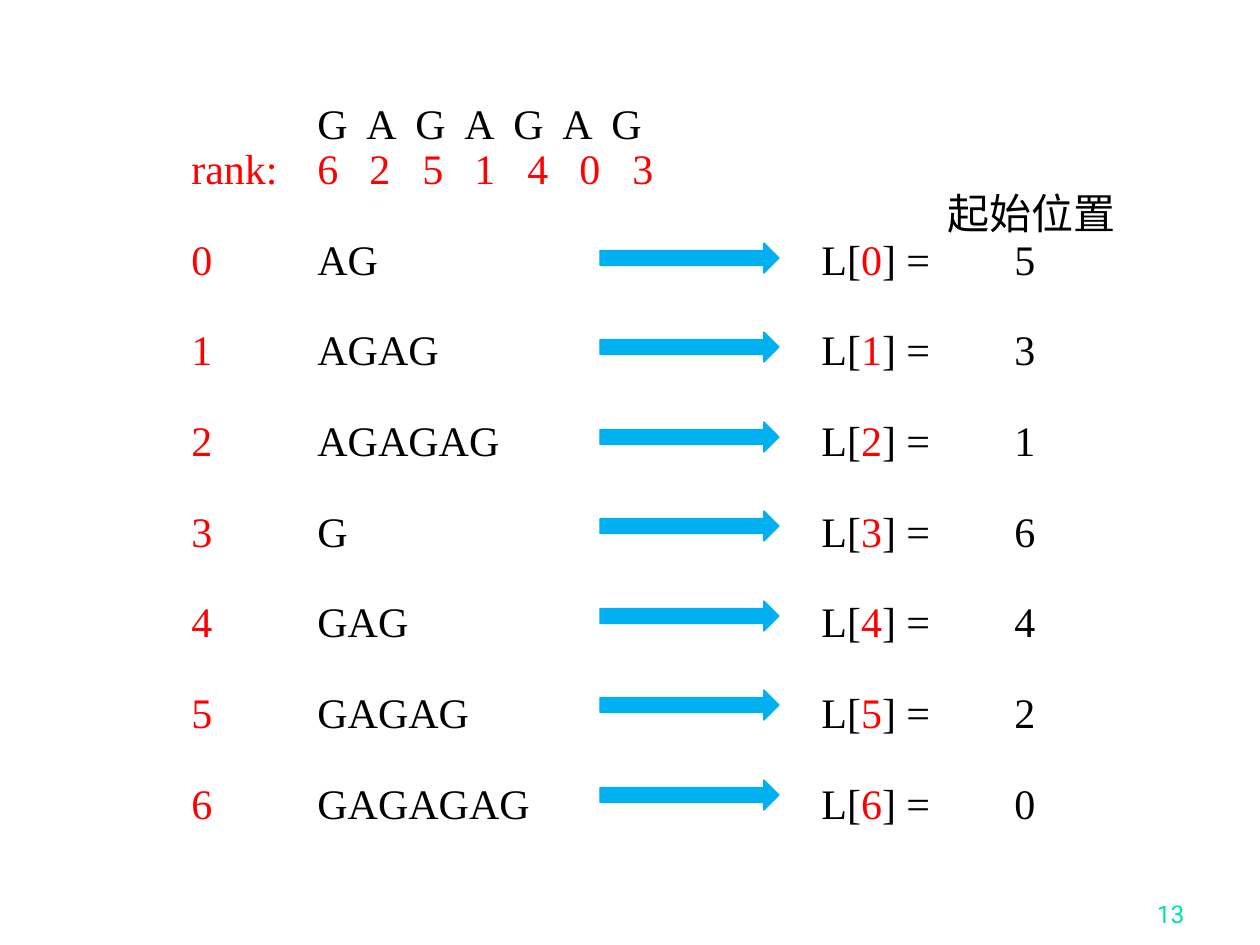
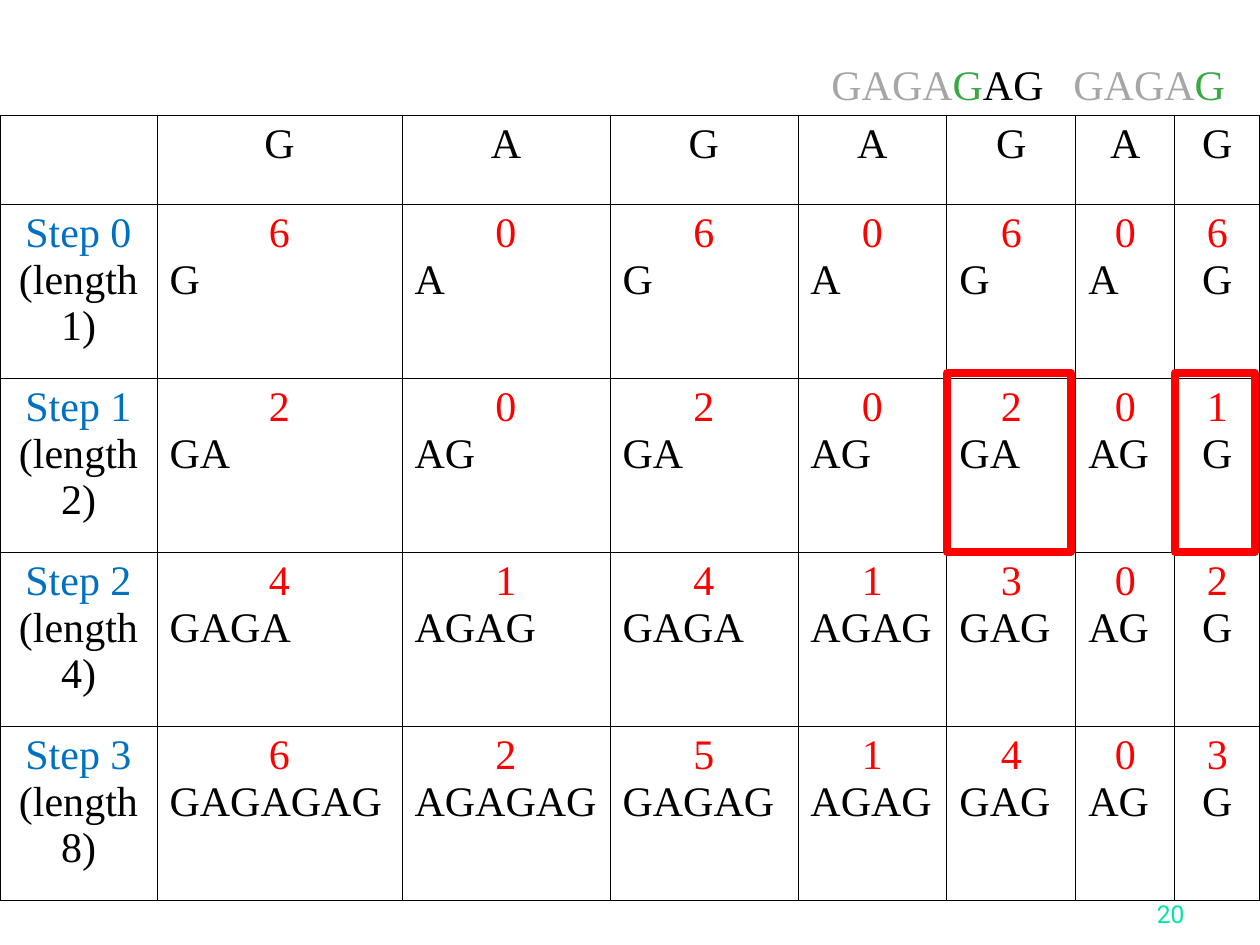
from dataclasses import dataclass

from lxml import etree
from pptx import Presentation
from pptx.dml.color import RGBColor
from pptx.enum.shapes import MSO_SHAPE
from pptx.enum.text import MSO_ANCHOR, PP_ALIGN
from pptx.oxml.ns import qn
from pptx.util import Emu, Pt

ARROW, RECTANGLE = MSO_SHAPE.RIGHT_ARROW, MSO_SHAPE.RECTANGLE
LEFT, CENTER, RIGHT = PP_ALIGN.LEFT, PP_ALIGN.CENTER, PP_ALIGN.RIGHT
BOTTOM = MSO_ANCHOR.BOTTOM
EMU_PER_PX = 914400 / 126
BLANK_LAYOUT = 6


@dataclass(frozen=True)
class Theme:
    ink: str = "000000"
    paper: str = "FFFFFF"
    rank: str = "FF0000"
    step: str = "0070C0"
    arrow: str = "00B0F0"
    faded: str = "A6A6A6"
    match: str = "3BA943"
    number: str = "00E4A8"
    body_font: str = "Times New Roman"
    number_font: str = "Roboto"
    body_size: float = 24
    number_size: float = 14
    line_pitch: float = 25.9
    arrow_line: float = 0.75
    marker_line: float = 4.5
    grid_line: float = 0.45


THEME = Theme()
SEQUENCE = "GAGAGAG"
STEP_RANKS = [
    [6, 0, 6, 0, 6, 0, 6],
    [2, 0, 2, 0, 2, 0, 1],
    [4, 1, 4, 1, 3, 0, 2],
    [6, 2, 5, 1, 4, 0, 3],
]
COLUMN_WIDTHS = [157, 245, 208, 188, 149, 129, 99, 85]
HEADER_HEIGHT, STEP_HEIGHT = 89, 174


def px(length):
    return Emu(round(length * EMU_PER_PX))


def place(box):
    return [px(length) for length in box]


def style(span, color, font=THEME.body_font, size=THEME.body_size):
    span.font.name = font
    span.font.size = Pt(size)
    span.font.color.rgb = RGBColor.from_string(color)


def add_spans(para, spans):
    for text, color in spans:
        span = para.add_run()
        span.text = text
        style(span, color)


def set_tabs(para, stops):
    tab_list = etree.SubElement(para._p.get_or_add_pPr(), qn("a:tabLst"))
    for stop in stops:
        etree.SubElement(tab_list, qn("a:tab"), pos=str(px(stop)), algn="l")


def add_lines(page, box, lines):
    frame = page.shapes.add_textbox(*place(box)).text_frame
    frame.word_wrap = True
    for index, (spans, stops, gap) in enumerate(lines):
        para = frame.add_paragraph() if index else frame.paragraphs[0]
        para.line_spacing = Pt(THEME.line_pitch)
        if gap:
            para.space_before = Pt(gap)
        set_tabs(para, stops)
        add_spans(para, spans)


def add_outline(page, kind, box, color, width, filled):
    shape = page.shapes.add_shape(kind, *place(box))
    shape.shadow.inherit = False
    if filled:
        shape.fill.solid()
        shape.fill.fore_color.rgb = RGBColor.from_string(color)
    else:
        shape.fill.background()
    shape.line.color.rgb = RGBColor.from_string(color)
    shape.line.width = Pt(width)


def add_page_number(page, box, number):
    frame = page.shapes.add_textbox(*place(box)).text_frame
    frame.word_wrap = True
    frame.vertical_anchor = BOTTOM
    frame.text = str(number)
    para = frame.paragraphs[0]
    para.alignment = RIGHT
    style(para.runs[0], THEME.number, THEME.number_font, THEME.number_size)


def add_page(deck, number):
    page = deck.slides.add_slide(deck.slide_layouts[BLANK_LAYOUT])
    add_page_number(page, (935, 872, 262, 63), number)
    return page


def add_suffix_list(page, box):
    final_ranks = "\t".join(map(str, STEP_RANKS[-1]))
    letter_stops = [252 + 49 * i for i in range(len(SEQUENCE))]
    rank_stops = [126] + [252 + 105 * i // 2 for i in range(len(SEQUENCE))]
    lines = [
        ([("\t" + "\t".join(SEQUENCE), THEME.ink)], letter_stops, 0),
        ([("\trank:\t" + final_ranks, THEME.rank)], rank_stops, 0),
        ([("\t起始位置", THEME.ink)], [882], 0),
    ]
    starts = sorted(range(len(SEQUENCE)), key=lambda i: SEQUENCE[i:])
    for rank, start in enumerate(starts):
        spans = [
            (f"\t{rank}\t", THEME.rank),
            (f"{SEQUENCE[start:]}\tL[", THEME.ink),
            (str(rank), THEME.rank),
            (f"] =\t{start}", THEME.ink),
        ]
        lines.append((spans, [126, 252, 756, 949], THEME.line_pitch if rank else 0))
    add_lines(page, box, lines)


def add_arrows(page, box):
    left, top, width, height = box
    arrow_height = 30
    travel = height - arrow_height
    for index in range(len(SEQUENCE)):
        arrow_top = top + travel * index // (len(SEQUENCE) - 1)
        add_outline(page, ARROW, (left, arrow_top, width, arrow_height),
                    THEME.arrow, THEME.arrow_line, True)


def add_compared_suffixes(page, box):
    spans = [
        ("\tGAGA", THEME.faded),
        ("G", THEME.match),
        ("AG\t", THEME.ink),
        ("GAGA", THEME.faded),
        ("G", THEME.match),
    ]
    add_lines(page, box, [(spans, [766, 1008], 0)])


def draw_cell(cell, lines):
    properties = cell._tc.get_or_add_tcPr()
    for side in ("a:lnL", "a:lnR", "a:lnT", "a:lnB"):
        border = etree.SubElement(properties, qn(side), w=str(Pt(THEME.grid_line)))
        paint = etree.SubElement(border, qn("a:solidFill"))
        etree.SubElement(paint, qn("a:srgbClr"), val=THEME.ink)
    cell.fill.solid()
    cell.fill.fore_color.rgb = RGBColor.from_string(THEME.paper)
    cell.text_frame.text = "\n".join(text for text, _, _ in lines)
    for para, (_, color, alignment) in zip(cell.text_frame.paragraphs, lines):
        para.alignment = alignment
        for span in para.runs:
            style(span, color)


def add_step_table(page, box):
    table = page.shapes.add_table(
        len(STEP_RANKS) + 1, len(COLUMN_WIDTHS), *place(box)).table
    for column, width in zip(table.columns, COLUMN_WIDTHS):
        column.width = px(width)
    for index, row in enumerate(table.rows):
        row.height = px(STEP_HEIGHT if index else HEADER_HEIGHT)
    draw_cell(table.cell(0, 0), [])
    for index, letter in enumerate(SEQUENCE):
        draw_cell(table.cell(0, index + 1), [(letter, THEME.ink, CENTER)])
    for step, ranks in enumerate(STEP_RANKS):
        length = 2 ** step
        draw_cell(table.cell(step + 1, 0), [
            (f"Step {step}", THEME.step, CENTER),
            (f"(length {length})", THEME.ink, CENTER),
        ])
        for start, rank in enumerate(ranks):
            alignment = CENTER if start == len(SEQUENCE) - 1 else LEFT
            draw_cell(table.cell(step + 1, start + 1), [
                (str(rank), THEME.rank, CENTER),
                (SEQUENCE[start:start + length], THEME.ink, alignment),
            ])


def add_cell_markers(page, table_box, step, columns):
    left, top = table_box[:2]
    marker_top = top + HEADER_HEIGHT + STEP_HEIGHT * step - 5
    for column in columns:
        marker_left = left + sum(COLUMN_WIDTHS[:column])
        marker_box = (marker_left, marker_top, COLUMN_WIDTHS[column] - 5, STEP_HEIGHT + 5)
        add_outline(page, RECTANGLE, marker_box, THEME.rank, THEME.marker_line, False)


def build_suffix_page(deck):
    page = add_page(deck, 13)
    add_suffix_list(page, (53, 96, 1113, 773))
    add_arrows(page, (600, 243, 179, 567))


def build_step_page(deck):
    page = add_page(deck, 20)
    add_compared_suffixes(page, (53, 57, 1207, 58))
    table_box = (0, 115, sum(COLUMN_WIDTHS), HEADER_HEIGHT + STEP_HEIGHT * len(STEP_RANKS))
    add_step_table(page, table_box)
    add_cell_markers(page, table_box, 1, [5, 7])


def main():
    deck = Presentation()
    deck.slide_width, deck.slide_height = px(1260), px(945)
    build_suffix_page(deck)
    build_step_page(deck)
    deck.save("out.pptx")


if __name__ == "__main__":
    main()
